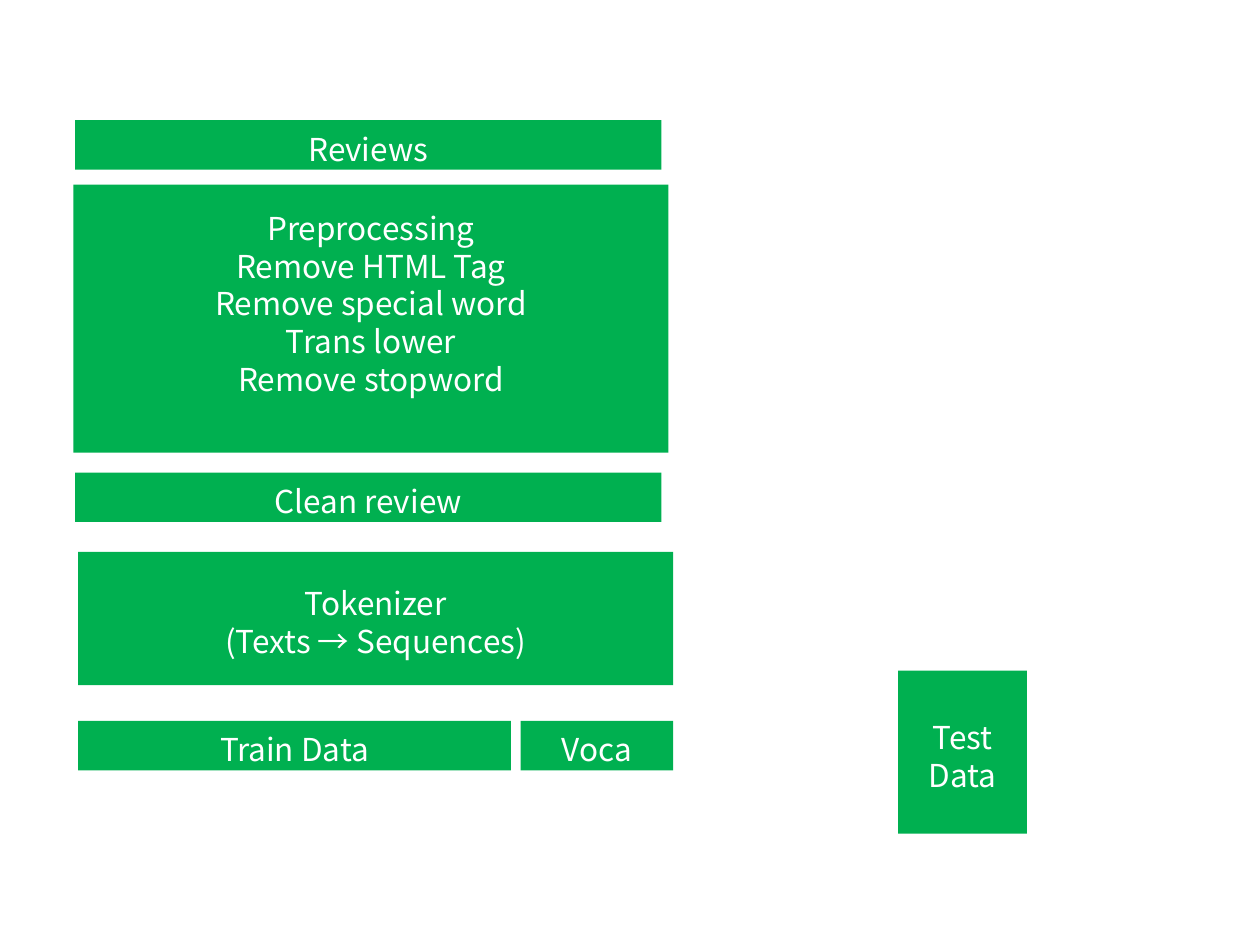
from pptx import Presentation
from pptx.dml.color import RGBColor
from pptx.enum.shapes import MSO_SHAPE
from pptx.enum.text import MSO_ANCHOR, PP_ALIGN
from pptx.util import Pt

RECT = MSO_SHAPE.RECTANGLE
MIDDLE = MSO_ANCHOR.MIDDLE
CENTER = PP_ALIGN.CENTER

THEME = {
    "fill": RGBColor.from_string("00B050"),
    "text": RGBColor.from_string("FFFFFF"),
    "font": "Noto Sans CJK KR",
    "size": Pt(18),
    "line": Pt(21.6),
}
WIDE, BAR, ROW = 340, 335, 28.2  # step width, bar width, bar height
EDGE, GAP = 44.7, 5.6  # left edge of the lower steps, gap before Voca
VOCA = 87.2
TRAIN = WIDE - GAP - VOCA
ROW_TOP = 412

# lines, (left, top, width, height), space kept free below the text
BOXES = [
    (["Train Data"], (EDGE, ROW_TOP, TRAIN, ROW), 0),
    (["Test", "Data"], (513.2, 383.3, 73.6, 93.1), 0),
    (["Voca"], (EDGE + TRAIN + GAP, ROW_TOP, VOCA, ROW), 0),
    (["Tokenizer", "(Texts → Sequences)"], (EDGE, 315.4, WIDE, 76.2), 0),
    (["Preprocessing", "Remove HTML Tag", "Remove special word",
      "Trans lower", "Remove stopword"], (42, 105.5, WIDE, 153.2), 21.6),
    (["Reviews"], (43, 68.7, BAR, ROW), 0),
    (["Clean review"], (43, 270, BAR, ROW), 0),
]


def write(frame, lines, below):
    """Fill a text frame with one centred paragraph per line."""
    frame.word_wrap = True
    frame.vertical_anchor = MIDDLE
    frame.margin_top, frame.margin_bottom = Pt(4), Pt(below)
    for i, line in enumerate(lines):
        para = frame.add_paragraph() if i else frame.paragraphs[0]
        para.alignment = CENTER
        para.line_spacing = THEME["line"]
        run = para.add_run()
        run.text = line
        run.font.name = THEME["font"]
        run.font.size = THEME["size"]
        run.font.color.rgb = THEME["text"]


def add_box(slide, lines, place, below):
    """Add one green box with its text."""
    box = slide.shapes.add_shape(RECT, *(Pt(n) for n in place))
    box.shadow.inherit = False
    box.fill.solid()
    box.fill.fore_color.rgb = THEME["fill"]
    box.line.fill.background()
    write(box.text_frame, lines, below)


def main():
    """Build the slide and save it."""
    deck = Presentation()
    deck.slide_width, deck.slide_height = Pt(720), Pt(540)
    slide = deck.slides.add_slide(deck.slide_layouts[6])
    for lines, place, below in BOXES:
        add_box(slide, lines, place, below)
    deck.save("out.pptx")


main()
